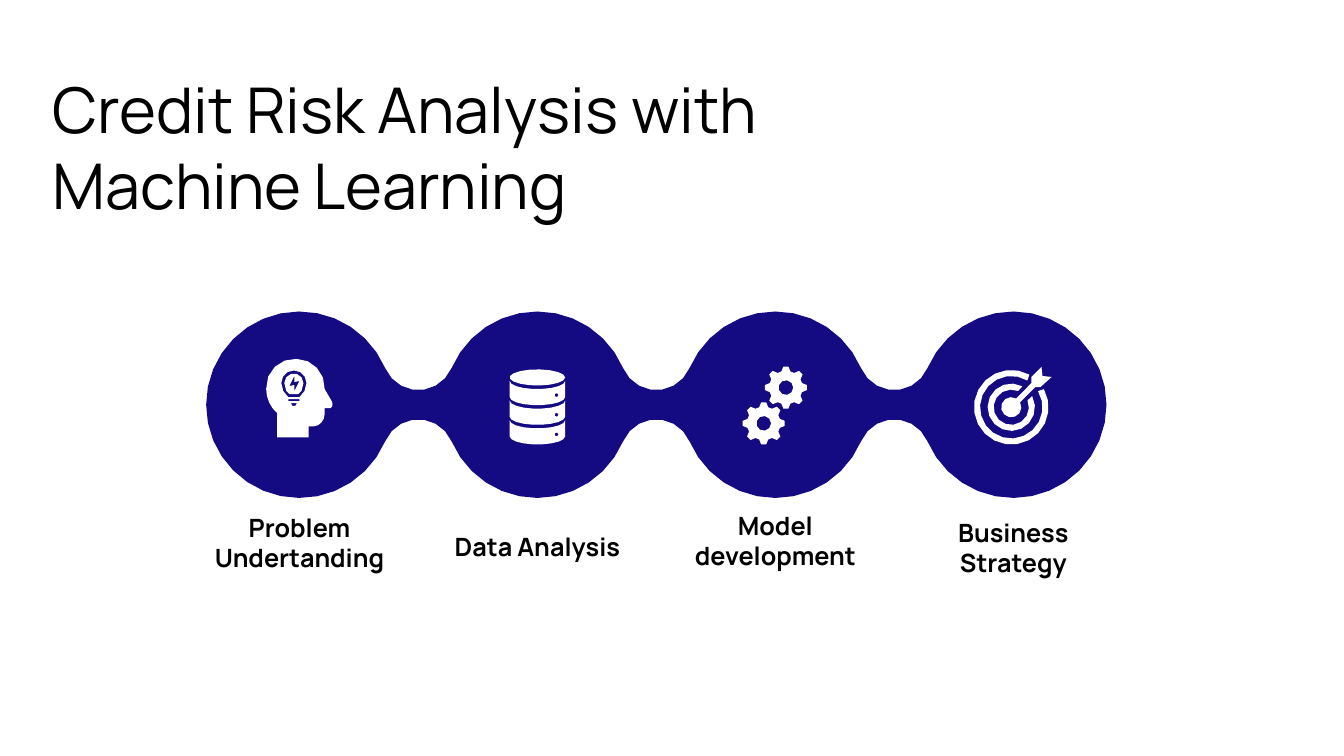
from math import acos, atan2, ceil, cos, degrees, radians, sin

from pptx import Presentation
from pptx.dml.color import RGBColor
from pptx.enum.text import MSO_ANCHOR as Anchor, MSO_AUTO_SIZE as AutoSize, PP_ALIGN as Align
from pptx.util import Inches, Pt

COLORS = {"navy": "140B83", "white": "FFFFFF", "black": "000000"}

STEPS = [  # label, top, height
    ("Problem Undertanding", 5.02, 0.71),
    ("Data Analysis", 5.22, 0.4),
    ("Model development", 5, 0.71),
    ("Business Strategy", 5.07, 0.71),
]
FIRST_X, PITCH, MIDDLE_Y = 2.97, 2.36, 4.015
RADIUS, NECK_HALF, LABEL_WIDTH = 0.925, 0.145, 1.89
TOLERANCE = 0.005


def arc(x, y, rx, start, end, ry=None):
    """Points along an ellipse, in degrees clockwise, no denser than the tolerance asks."""
    ry = ry or rx
    widest = 2 * degrees(acos(1 - TOLERANCE / rx))
    count = max(2, ceil(abs(end - start) / widest))
    angles = [radians(start + (end - start) * i / count) for i in range(count + 1)]
    return [(x + rx * cos(a), y + ry * sin(a)) for a in angles]


def circle(x, y, r):
    return arc(x, y, r, 0, 360)[:-1]


def trace(start, *moves):
    """Outline from a start point; a pair is a line, six numbers a Bezier curve."""
    points = [start]
    for move in moves:
        if len(move) == 2:
            points.append(move)
            continue
        nodes = [points[-1], move[:2], move[2:4], move[4:]]
        for t in (0.25, 0.5, 0.75, 1):
            weights = ((1 - t) ** 3, 3 * t * (1 - t) ** 2, 3 * t * t * (1 - t), t ** 3)
            points.append(tuple(sum(w * n[axis] for w, n in zip(weights, nodes))
                                for axis in (0, 1)))
    return points


def chain():
    """Circles joined by necks whose arcs touch both neighbours."""
    half = PITCH / 2
    neck = (half ** 2 + NECK_HALF ** 2 - RADIUS ** 2) / (2 * (RADIUS - NECK_HALF))
    angle = degrees(atan2(neck + NECK_HALF, half))
    last = len(STEPS) - 1
    top = []
    for i in range(len(STEPS)):
        x = FIRST_X + i * PITCH
        top += arc(x, MIDDLE_Y, RADIUS, 180 + angle * (i > 0), 360 - angle * (i < last))
        if i < last:
            top += arc(x + half, MIDDLE_Y - NECK_HALF - neck, neck, 180 - angle, angle)[1:-1]
    return top + [(x, 2 * MIDDLE_Y - y) for x, y in reversed(top[1:-1])]


def bulb(x, y, r, shoulder, base, foot):
    """Round glass narrowing to a flat foot."""
    right = [(x + shoulder, y + 0.08), (x + foot, base)]
    return arc(x, y, r, 180, 360) + right + [(2 * x - px, py) for px, py in reversed(right)]


def head():
    x, y = 2.915, 3.8
    profile = trace(
        (2.94, 3.56), (3.1, 3.56, 3.23, 3.7, 3.22, 3.86), (3.29, 3.98),
        (3.31, 4.02, 3.29, 4.05, 3.27, 4.05), (3.22, 4.05), (3.22, 4.11),
        (3.22, 4.17, 3.17, 4.23, 3.11, 4.23), (3.06, 4.23), (3.06, 4.34), (2.75, 4.34),
        (2.75, 4.1), (2.68, 4.04, 2.64, 3.95, 2.64, 3.86),
        (2.63, 3.68, 2.78, 3.55, 2.94, 3.56))
    bolt = [(2.92, 3.73), (2.87, 3.83), (2.92, 3.82), (2.92, 3.88), (2.97, 3.78), (2.92, 3.79)]
    thread = [(2.86, 3.96), (2.97, 3.96), (2.97, 3.98), (2.86, 3.98)]
    return [profile, bulb(x, y, 0.125, 0.105, 3.94, 0.055), bulb(x, y, 0.095, 0.075, 3.91, 0.045),
            bolt, thread, arc(x, 4, 0.03, 0, 180)]


def database():
    """The lid and three tiers, each with a light."""
    x, rx, ry, depth = 5.33, 0.275, 0.08, 0.16
    parts = [arc(x, 3.745, rx, 0, 360, ry)[:-1]]
    for tier in range(3):
        y = 3.78 + 0.195 * tier
        parts += [arc(x, y, rx, 180, 0, ry) + arc(x, y + depth, rx, 0, 180, ry),
                  circle(5.52, y + 0.14, 0.02)]
    return parts


def gear(x, y):
    teeth = []
    for tooth in range(8):
        for offset, r in ((-15.7, 0.166), (-6.8, 0.21), (6.8, 0.21), (15.7, 0.166)):
            a = radians(45 * tooth + offset)
            teeth.append((x + r * cos(a), y + r * sin(a)))
    return [teeth, circle(x, y, 0.073)]


def target():
    """Two rings open to the upper right, and an arrow in the centre."""
    x, y = 10.03, 4.04
    rings = [(0.37, 16, 0.31, 14), (0.235, 17, 0.175, 22)]
    parts = [arc(x, y, outer, gap - 45, 315 - gap) + arc(x, y, inner, 315 - notch, notch - 45)
             for outer, gap, inner, notch in rings]
    arrow = [(10.23, 3.8), (10.23, 3.74), (10.33, 3.64), (10.34, 3.73), (10.43, 3.74),
             (10.32, 3.84), (10.27, 3.84)]
    return parts + [arc(x, y, 0.1, -29, 299) + arrow]


class Deck:
    """Holds the font and the current slide."""

    def __init__(self, font):
        self.font = font
        self.prs = Presentation()
        self.prs.slide_width, self.prs.slide_height = Inches(13.33), Inches(7.5)
        self.slide = self.prs.slides.add_slide(self.prs.slide_layouts[6])

    def text(self, words, left, top, width, height, size, bold=False, label=False):
        frame = self.slide.shapes.add_textbox(
            Inches(left), Inches(top), Inches(width), Inches(height)).text_frame
        frame.word_wrap = True
        frame.auto_size = AutoSize.SHAPE_TO_FIT_TEXT
        frame.text = words
        paragraph = frame.paragraphs[0]
        if label:
            frame.margin_left = frame.margin_right = 0
            frame.vertical_anchor = Anchor.BOTTOM
            paragraph.alignment = Align.CENTER
        font = paragraph.runs[0].font
        font.name, font.size, font.bold = self.font, Pt(size), bold
        font.color.rgb = RGBColor.from_string(COLORS["black"])

    def outline(self, contours, color):
        """One filled shape; a contour inside another cuts a hole."""
        contours = [[(Inches(x), Inches(y)) for x, y in points] for points in contours]
        builder = self.slide.shapes.build_freeform(*contours[0][0])
        for i, points in enumerate(contours):
            if i:
                builder.move_to(*points[0])
            builder.add_line_segments(points[1:], close=True)
        shape = builder.convert_to_shape()
        shape.shadow.inherit = False
        shape.fill.solid()
        shape.fill.fore_color.rgb = RGBColor.from_string(COLORS[color])
        shape.line.fill.background()


def main():
    deck = Deck("Manrope")
    deck.text("Credit Risk Analysis with Machine Learning", 0.42, 0.65, 7.6, 1.62, 45)
    for i, (label, top, height) in enumerate(STEPS):
        left = FIRST_X + i * PITCH - LABEL_WIDTH / 2
        deck.text(label, left, top, LABEL_WIDTH, height, 18, bold=True, label=True)
    deck.outline([chain()], "navy")
    gears = gear(7.575, 4.2) + gear(7.795, 3.845)
    for icon in (head(), database(), gears, target()):
        deck.outline(icon, "white")
    deck.prs.save("out.pptx")


if __name__ == "__main__":
    main()
